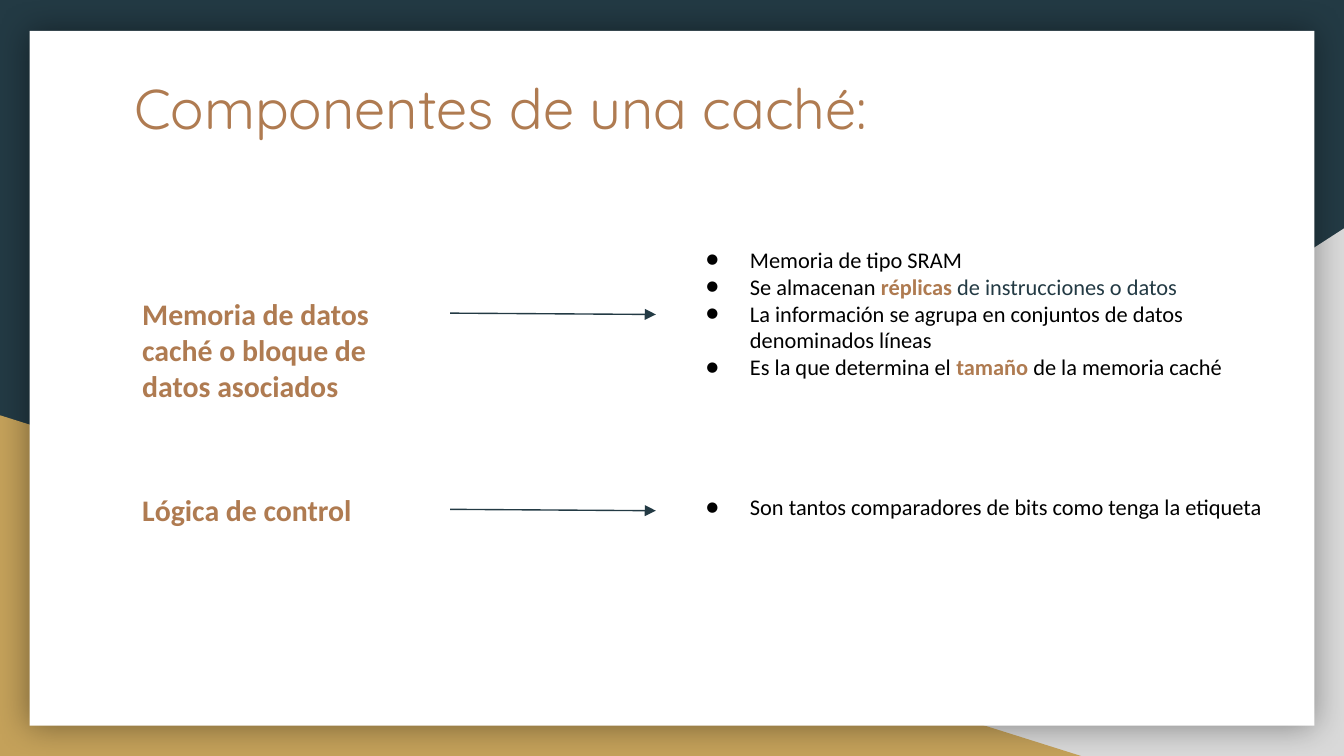
from lxml import etree
from pptx import Presentation
from pptx.dml.color import RGBColor
from pptx.enum.shapes import MSO_CONNECTOR, MSO_SHAPE
from pptx.enum.text import MSO_ANCHOR, MSO_AUTO_SIZE, PP_ALIGN
from pptx.oxml.ns import qn
from pptx.util import Inches, Pt

RECT = MSO_SHAPE.RECTANGLE
WEDGE = MSO_SHAPE.RIGHT_TRIANGLE
LINE = MSO_CONNECTOR.STRAIGHT
LEFT = PP_ALIGN.LEFT
TOP = MSO_ANCHOR.TOP
FIXED = MSO_AUTO_SIZE.NONE

COLORS = {
    "navy": "233A44",
    "gray": "D9D9D9",
    "gold": "C4A15A",
    "white": "FFFFFF",
    "black": "000000",
    "brown": "AF7B51",
}

FRAME = {
    "margin_left": Inches(0.1),
    "margin_right": Inches(0.1),
    "margin_top": Inches(0.1),
    "margin_bottom": Inches(0.1),
    "word_wrap": True,
    "auto_size": FIXED,
    "vertical_anchor": TOP,
}
PARA = {"alignment": LEFT, "space_before": Pt(0), "space_after": Pt(0), "line_spacing": 1.0}
TITLE = {"name": "Quicksand", "size": Pt(30), "bold": False}
LABEL = {"name": "Calibri", "size": Pt(16), "bold": True}
PLAIN = {"name": "Calibri", "size": Pt(12), "bold": False}
STRONG = {**PLAIN, "bold": True}

ROWS = [
    {
        "label": "Memoria de datos caché o bloque de datos asociados",
        "box": (0.96, 2.1, 2.18, 1.01),
        "arrow": 2.33,
        "list": (4.98, 1.73, 4.56, 1.21),
        "items": [
            [("Memoria de tipo SRAM", PLAIN, "black")],
            [
                ("Se almacenan ", PLAIN, "black"),
                ("réplicas ", STRONG, "brown"),
                ("de instrucciones o datos", PLAIN, "navy"),
            ],
            [("La información se agrupa en conjuntos de datos denominados líneas", PLAIN, "black")],
            [
                ("Es la que determina el ", PLAIN, "black"),
                ("tamaño ", STRONG, "brown"),
                ("de la memoria caché", PLAIN, "black"),
            ],
        ],
    },
    {
        "label": "Lógica de control",
        "box": (0.96, 3.56, 2.18, 0.47),
        "arrow": 3.79,
        "list": (4.98, 3.57, 4.56, 0.4),
        "items": [[("Son tantos comparadores de bits como tenga la etiqueta", PLAIN, "black")]],
    },
]


def rgb(name):
    return RGBColor.from_string(COLORS[name])


def apply(target, values):
    for key, value in values.items():
        setattr(target, key, value)


def place(shape, box):
    apply(shape, dict(zip(("left", "top", "width", "height"), map(Inches, box))))


def add_panel(slide, kind, box, color):
    panel = slide.shapes.add_shape(kind, *map(Inches, box))
    panel.shadow.inherit = False
    panel.fill.solid()
    panel.fill.fore_color.rgb = rgb(color)
    panel.line.fill.background()
    return panel


def add_glow(shape):
    effects = shape.element.spPr.find(qn("a:effectLst"))
    shadow = etree.SubElement(
        effects, qn("a:outerShdw"), blurRad=str(Pt(18)), dist="0", dir="0", rotWithShape="0"
    )
    color = etree.SubElement(shadow, qn("a:srgbClr"), val=COLORS["black"])
    etree.SubElement(color, qn("a:alpha"), val="40000")


def add_bullet(para):
    props = para._p.get_or_add_pPr()
    props.set("marL", str(Inches(0.5)))
    props.set("indent", str(Inches(-0.33)))
    tint = etree.SubElement(props, qn("a:buClr"))
    etree.SubElement(tint, qn("a:srgbClr"), val=COLORS["black"])
    etree.SubElement(props, qn("a:buFont"), typeface="Calibri")
    etree.SubElement(props, qn("a:buChar"), char="●")


def fill_text(shape, box, items, bullet=False):
    place(shape, box)
    frame = shape.text_frame
    apply(frame, FRAME)
    for index, runs in enumerate(items):
        para = frame.add_paragraph() if index else frame.paragraphs[0]
        apply(para, PARA)
        if bullet:
            add_bullet(para)
        for text, style, color in runs:
            run = para.add_run()
            run.text = text
            apply(run.font, style)
            run.font.color.rgb = rgb(color)


def add_label(slide, box, text):
    label = slide.shapes.add_textbox(0, 0, 0, 0)
    fill_text(label, box, [[(text, LABEL, "brown")]])


def add_arrow(slide, top):
    ends = map(Inches, (3.35, top, 4.88, top + 0.01))
    arrow = slide.shapes.add_connector(LINE, *ends)
    arrow.line.color.rgb = rgb("navy")
    arrow.line.width = Pt(0.75)
    etree.SubElement(arrow.line._get_or_add_ln(), qn("a:tailEnd"), type="triangle")
    etree.SubElement(arrow.element.spPr, qn("a:effectLst"))


def add_decor(slide):
    slide.background.fill.solid()
    slide.background.fill.fore_color.rgb = rgb("navy")
    wedge = add_panel(slide, WEDGE, (3.92, 1.7, 6.08, 3.93), "gray")
    wedge.element.spPr.xfrm.set("flipH", "1")
    add_panel(slide, WEDGE, (0, 3.09, 8.06, 2.54), "gold")
    add_glow(add_panel(slide, RECT, (0.22, 0.23, 9.56, 5.17), "white"))


def raise_up(shape):
    shape.element.getparent().append(shape.element)


def main():
    deck = Presentation()
    deck.slide_width = Inches(10)
    deck.slide_height = Inches(10) * 9 // 16
    slide = deck.slides.add_slide(deck.slide_layouts.get_by_name("Two Content"))
    title, *lists = slide.placeholders
    add_decor(slide)
    raise_up(title)
    fill_text(title, (0.9, 0.45, 8.21, 1.04), [[("Componentes de una caché:", TITLE, "brown")]])
    for row, body in zip(ROWS, lists):
        add_label(slide, row["box"], row["label"])
        add_arrow(slide, row["arrow"])
        raise_up(body)
        fill_text(body, row["list"], row["items"], bullet=True)
    deck.save("out.pptx")


if __name__ == "__main__":
    main()
